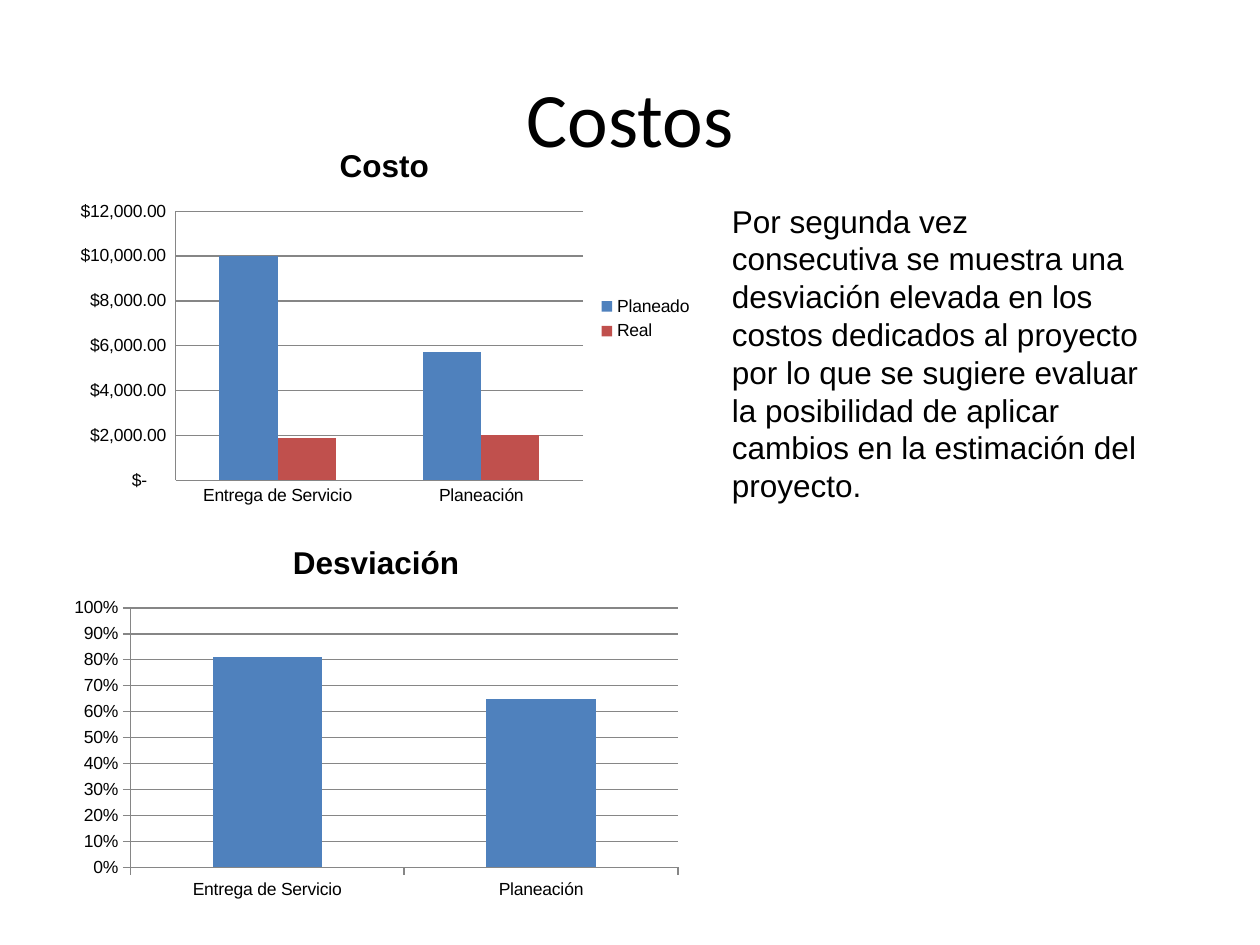
from pptx import Presentation
from pptx.chart.data import CategoryChartData
from pptx.dml.color import RGBColor
from pptx.enum.chart import XL_CHART_TYPE as ChartType, XL_LEGEND_POSITION as LegendPosition
from pptx.enum.chart import XL_TICK_MARK as TickMark
from pptx.enum.text import MSO_ANCHOR, MSO_AUTO_SIZE, PP_ALIGN
from pptx.util import Inches, Pt

COLORS = {"text": "000000", "planned": "4F81BD", "actual": "C0504D", "line": "868686"}
CATEGORIES = ["Entrega de Servicio", "Planeación"]
MONEY = '_-"$"* #,##0.00_-;\\-"$"* #,##0.00_-;_-"$"* "-"??_-;_-@_-'


def style_font(font, name, size, bold=False):
    font.name = name
    font.size = Pt(size)
    font.bold = bold
    font.color.rgb = RGBColor.from_string(COLORS["text"])


def add_column_chart(page, position, title, series, number_format, tick):
    data = CategoryChartData(number_format=number_format)
    data.categories = CATEGORIES
    for name, values, _ in series:
        data.add_series(name, values)
    frame = page.shapes.add_chart(
        ChartType.COLUMN_CLUSTERED, *[Inches(value) for value in position], data)
    chart = frame.chart
    style_font(chart.font, "Arial", 10)

    chart.has_title = True
    chart.chart_title.include_in_layout = False
    para = chart.chart_title.text_frame.paragraphs[0]
    para.text = title
    style_font(para.runs[0].font, "Arial", 18, bold=True)

    plot = chart.plots[0]
    plot.gap_width = 150
    plot.vary_by_categories = False
    for column, (_, _, color) in zip(plot.series, series):
        column.format.fill.solid()
        column.format.fill.fore_color.rgb = RGBColor.from_string(COLORS[color])

    value_axis = chart.value_axis
    value_axis.has_major_gridlines = True
    value_axis.tick_labels.number_format = number_format
    value_axis.tick_labels.number_format_is_linked = False
    for axis in (chart.category_axis, value_axis):
        axis.major_tick_mark = tick
        axis.minor_tick_mark = TickMark.NONE
    for part in (chart.category_axis, value_axis, value_axis.major_gridlines):
        part.format.line.color.rgb = RGBColor.from_string(COLORS["line"])
        part.format.line.width = Pt(0.75)

    chart.has_legend = len(series) > 1
    if chart.has_legend:
        chart.legend.position = LegendPosition.RIGHT
        chart.legend.include_in_layout = False
    return chart


deck = Presentation()
deck.slide_width, deck.slide_height = Inches(10), Inches(7.5)
page = deck.slides.add_slide(deck.slide_layouts[5])

# Title
title = page.shapes.title
title.left, title.top = Inches(0.5), Inches(0.3)
title.width, title.height = Inches(9), Inches(1.25)
title.text_frame.text = "Costos"
title.text_frame.vertical_anchor = MSO_ANCHOR.MIDDLE
title.text_frame.paragraphs[0].alignment = PP_ALIGN.CENTER
style_font(title.text_frame.paragraphs[0].runs[0].font, "Calibri", 44)

# Comment
box = page.shapes.add_textbox(Inches(5.71), Inches(1.55), Inches(3.46), Inches(2.52))
box.text_frame.word_wrap = True
box.text_frame.auto_size = MSO_AUTO_SIZE.SHAPE_TO_FIT_TEXT
box.text_frame.text = (
    "Por segunda vez consecutiva se muestra una desviación elevada en los costos "
    "dedicados al proyecto por lo que se sugiere evaluar la posibilidad de aplicar "
    "cambios en la estimación del proyecto.")
style_font(box.text_frame.paragraphs[0].runs[0].font, "Arial", 18)

# Planned and actual cost
add_column_chart(
    page, (0.5, 0.99, 5.1, 3.08), "Costo",
    [("Planeado", (10000, 5700), "planned"), ("Real ", (1900, 2000), "actual")],
    MONEY, TickMark.NONE)

# Deviation
deviation = add_column_chart(
    page, (0.49, 4.14, 4.99, 3.06), "Desviación",
    [("Desviación", (0.81, 0.65), "planned")], "0%", TickMark.OUTSIDE)
deviation.value_axis.minimum_scale = 0
deviation.value_axis.maximum_scale = 1

deck.save("out.pptx")
